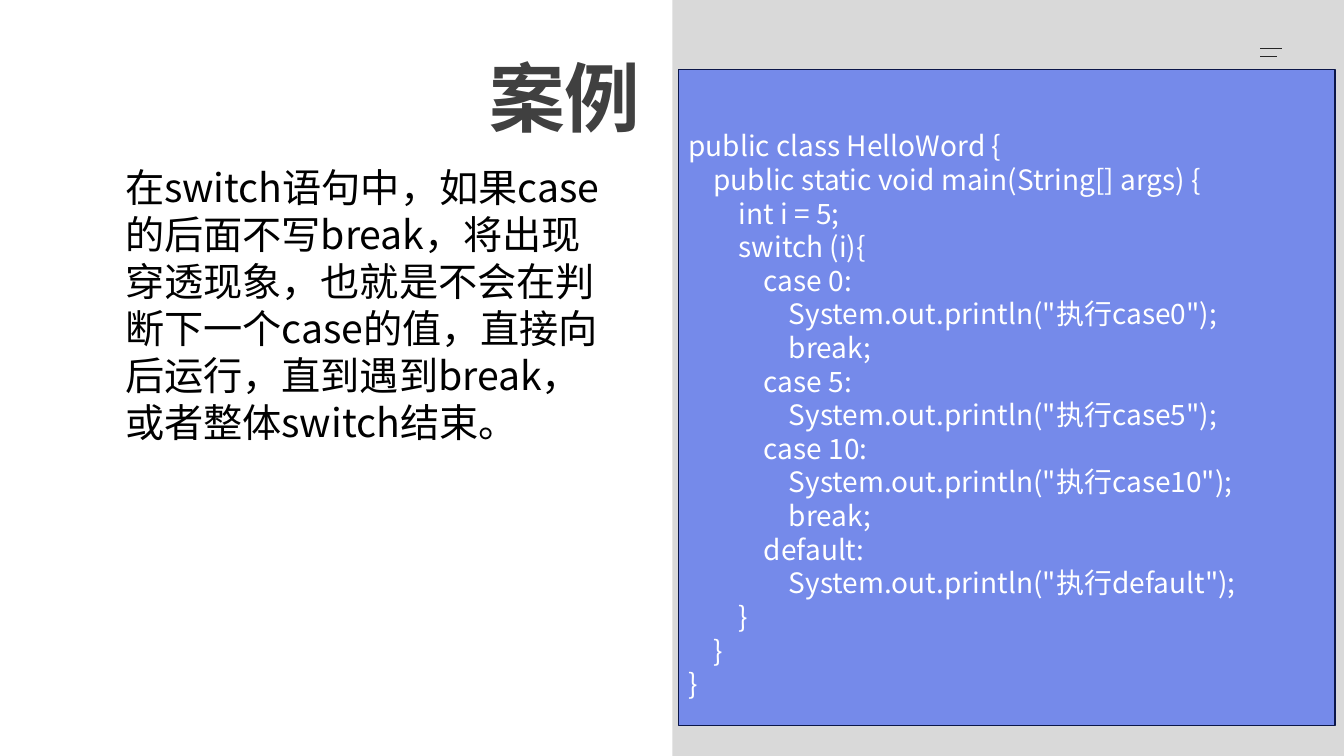
from lxml import etree
from pptx import Presentation
from pptx.dml.color import RGBColor
from pptx.enum.shapes import MSO_CONNECTOR, MSO_SHAPE
from pptx.enum.text import MSO_ANCHOR, MSO_AUTO_SIZE, PP_ALIGN
from pptx.oxml.ns import qn
from pptx.util import Inches, Pt

TITLE = "案例"
BODY = ("在switch语句中，如果case的后面不写break，将出现穿透现象，"
        "也就是不会在判断下一个case的值，直接向后运行，直到遇到break，"
        "或者整体switch结束。")
CODE = """public class HelloWord {
    public static void main(String[] args) {
        int i = 5;
        switch (i){
            case 0:
                System.out.println("执行case0");
                break;
            case 5:
                System.out.println("执行case5");
            case 10:
                System.out.println("执行case10");
                break;
            default:
                System.out.println("执行default");
        }
    }
}"""
MENU_LINES = [(0.48, 0.22), (0.56, 0.17)]
MENU_LEFT = 12.5
COLORS = {"title": "404040", "body": "000000", "panel": "D9D9D9", "menu": "262626",
          "code_fill": "758AEA", "code_line": "0B1649", "code": "FFFFFF"}
CJK = "Noto Sans CJK SC"
LINE_RATIO = 1.2


def color(name):
    return RGBColor.from_string(COLORS[name])


def place(sp, left, top, width, height):
    sp.left, sp.top = Inches(left), Inches(top)
    sp.width, sp.height = Inches(width), Inches(height)


def style(p, size, font, color_name, bold=False):
    for r in p.runs:
        r.font.size = Pt(size)
        r.font.name = font
        r.font.bold = bold
        r.font.color.rgb = color(color_name)
        ea = etree.SubElement(r.font._element, qn("a:ea"))
        ea.set("typeface", CJK)


def add_box(slide, fill, left, top, width, height):
    sp = slide.shapes.add_shape(MSO_SHAPE.RECTANGLE, Inches(left), Inches(top),
                                Inches(width), Inches(height))
    sp.shadow.inherit = False
    sp.fill.solid()
    sp.fill.fore_color.rgb = color(fill)
    sp.line.fill.background()
    return sp


def add_title(slide):
    sp = slide.shapes.title
    place(sp, 1.49, 0, 4.96, 1.92)
    tf = sp.text_frame
    tf.text = TITLE
    tf.vertical_anchor = MSO_ANCHOR.MIDDLE
    tf.paragraphs[0].alignment = PP_ALIGN.RIGHT
    style(tf.paragraphs[0], 54, "Arial", "title", True)


def add_menu(slide):
    for y, length in MENU_LINES:
        line = slide.shapes.add_connector(MSO_CONNECTOR.STRAIGHT, Inches(MENU_LEFT), Inches(y),
                                          Inches(MENU_LEFT + length), Inches(y))
        line.line.color.rgb = color("menu")
        line.line.width = Pt(1)
        etree.SubElement(line._element.spPr, qn("a:effectLst"))


def add_code(slide):
    size = 20
    sp = add_box(slide, "code_fill", 6.73, 0.69, 6.51, 6.51)
    sp.line.color.rgb = color("code_line")
    sp.line.width = Pt(1)
    tf = sp.text_frame
    tf.word_wrap = True
    tf.vertical_anchor = MSO_ANCHOR.MIDDLE
    tf.margin_top = Inches(0.05) + Pt(size * LINE_RATIO)
    for i, text in enumerate(CODE.split("\n")):
        p = tf.paragraphs[0] if i == 0 else tf.add_paragraph()
        p.text = text
        p.alignment = PP_ALIGN.LEFT
        p.line_spacing = Pt(size * LINE_RATIO)
        style(p, size, CJK, "code")


def add_body(slide):
    size = 28
    sp = slide.placeholders[1]
    place(sp, 1.14, 1.57, 5.08, 3.23)
    tf = sp.text_frame
    tf.text = BODY
    tf.auto_size = MSO_AUTO_SIZE.SHAPE_TO_FIT_TEXT
    p = tf.paragraphs[0]
    pPr = p._p.get_or_add_pPr()
    pPr.set("marL", "0")
    pPr.set("indent", "0")
    etree.SubElement(pPr, qn("a:buNone"))
    p.space_before = Pt(0)
    p.line_spacing = Pt(size * LINE_RATIO)
    style(p, size, CJK, "body")


def main():
    prs = Presentation()
    prs.slide_width, prs.slide_height = Inches(13.33), Inches(7.5)
    slide = prs.slides.add_slide(prs.slide_layouts[1])
    add_title(slide)
    add_box(slide, "panel", 6.67, 0, 6.67, 7.5)
    add_menu(slide)
    add_code(slide)
    add_body(slide)
    prs.save("out.pptx")


if __name__ == "__main__":
    main()
